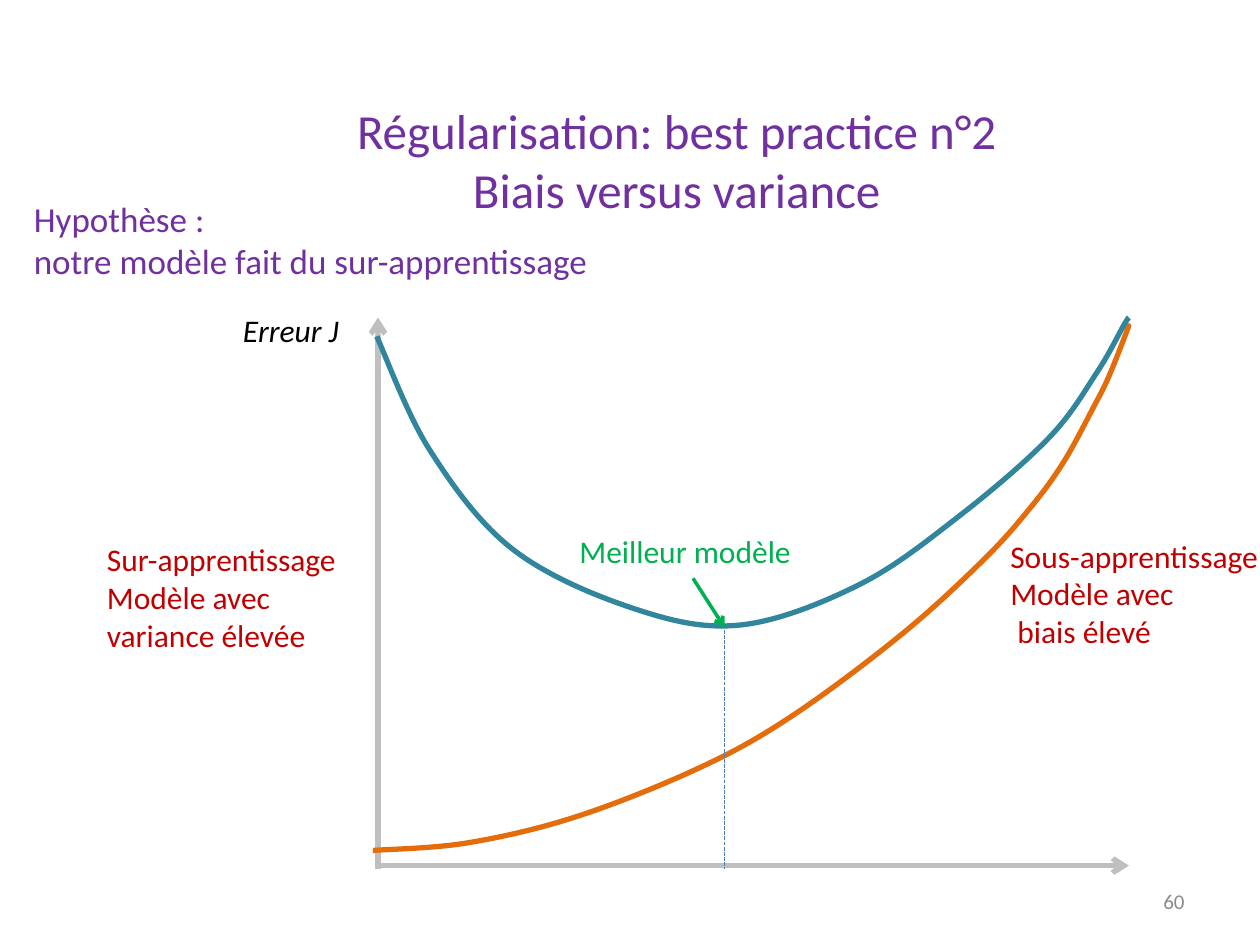
from lxml import etree
from pptx import Presentation, util as u
from pptx.dml.color import RGBColor
from pptx.enum import dml, shapes, text
from pptx.oxml.ns import qn

COLORS = {
    "purple": "7030A0", "red": "C00000", "green": "00B050", "black": "000000",
    "axis": "BFBFBF", "orange": "E46C0A", "teal": "31859C", "blue": "4B7EBC",
    "grey": "8B8B8B",
}
COLS, ROWS = 100, 75
AXIS_X, AXIS_Y, BEST_X = 30, 68.7, 57.5
BIAS = [(29.6, 67.5), (37.1, 66.9), (45.8, 64.8), (55.6, 60.9), (62.9, 56.8),
        (71.5, 50.4), (78, 44.5), (81.7, 40.4), (84.4, 36.7), (86.8, 32.3),
        (88, 29.9), (89.5, 26.1), (89.4, 26.1)]
TOTAL = [(29.9, 26.7), (34.1, 35.7), (40.7, 43.6), (50.3, 48.3), (58.8, 49.6),
         (68.2, 46.4), (76.2, 40.9), (83.3, 34.7), (87.1, 29.5), (89.2, 25.8),
         (89.6, 25.2)]


def rgb(name):
    return RGBColor.from_string(COLORS[name])


def write(tf, lines, size=18, color="black", italic=False, align="LEFT"):
    for i, line in enumerate(lines.split("\n")):
        p = tf.add_paragraph() if i else tf.paragraphs[0]
        p.alignment = getattr(text.PP_ALIGN, align)
        r = p.add_run()
        r.text = line
        r.font.name, r.font.size = "Calibri", u.Pt(size)
        r.font.italic, r.font.color.rgb = italic, rgb(color)


class Deck:
    """Draws text, lines and smooth curves on a grid of columns and rows."""

    def __init__(self, width, height):
        self.prs = Presentation()
        self.prs.slide_width, self.prs.slide_height = u.Inches(width), u.Inches(height)
        self.slide = self.prs.slides.add_slide(self.prs.slide_layouts[6])

    def at(self, col, row):
        return (round(col * self.prs.slide_width / COLS),
                round(row * self.prs.slide_height / ROWS))

    def text(self, col, row, cols, rows, lines, anchor="TOP", **style):
        s = self.slide.shapes.add_textbox(*self.at(col, row), *self.at(cols, rows))
        tf = s.text_frame
        tf.word_wrap = True
        tf.vertical_anchor = getattr(text.MSO_ANCHOR, anchor)
        write(tf, lines, **style)

    def line(self, start, end, color, width, arrow=False, dash=None):
        s = self.slide.shapes.add_connector(
            shapes.MSO_CONNECTOR.STRAIGHT, *self.at(*start), *self.at(*end))
        s.line.color.rgb, s.line.width = rgb(color), u.Pt(width)
        if dash:
            s.line.dash_style = dash
        if arrow:
            etree.SubElement(s.line._get_or_add_ln(), qn("a:tailEnd"), type="arrow")
        etree.SubElement(s._element.spPr, qn("a:effectLst"))

    def curve(self, knots, color, width=3):
        pts = [self.at(*k) for k in knots]
        builder = self.slide.shapes.build_freeform(*pts[0])
        builder.add_line_segments(pts[1:], close=False)
        s = builder.convert_to_shape()
        s.shadow.inherit = False
        s.fill.background()
        s.line.color.rgb, s.line.width = rgb(color), u.Pt(width)
        self.smooth(s)

    def smooth(self, s):
        path = next(s._element.iter(qn("a:path")))
        pts = [(int(e.get("x")), int(e.get("y"))) for e in path.iter(qn("a:pt"))]
        padded = [pts[0], *pts, pts[-1]]
        segments = zip(path.findall(qn("a:lnTo")), padded, pts, pts[1:], padded[3:])
        for segment, before, start, end, after in segments:
            leave = [a + (c - b) / 6 for a, b, c in zip(start, before, end)]
            arrive = [a - (c - b) / 6 for a, b, c in zip(end, start, after)]
            bezier = etree.Element(qn("a:cubicBezTo"))
            for x, y in (leave, arrive, end):
                etree.SubElement(bezier, qn("a:pt"), x=str(round(x)), y=str(round(y)))
            path.replace(segment, bezier)


def main():
    deck = Deck(10, 7.5)
    deck.text(71.7, 69.5, 23.3, 4, "60", anchor="MIDDLE", size=12, color="grey",
              align="RIGHT")
    deck.text(23.3, 7.5, 60.8, 10.4,
              "Régularisation: best practice n°2\nBiais versus variance",
              size=28, color="purple", align="CENTER")
    deck.line((AXIS_X, AXIS_Y), (89.6, AXIS_Y), "axis", 3, arrow=True)
    deck.line((AXIS_X, 69), (AXIS_X, 25.2), "axis", 3, arrow=True)
    deck.text(7.5, 42.4, 22.5, 10.1,
              "Sur-apprentissage\nModèle avec variance élevée", color="red")
    deck.text(79.2, 42.1, 26.7, 10.1,
              "Sous-apprentissage\nModèle avec\n biais élevé", color="red")
    deck.curve(BIAS, "orange")
    deck.curve(TOTAL, "teal")
    deck.line((55, 45.9), (BEST_X, 49.8), "green", 2, arrow=True)
    deck.text(45, 41.7, 20.8, 4, "Meilleur modèle", color="green")
    deck.line((BEST_X, 50), (BEST_X, 69), "blue", 0.75,
              dash=dml.MSO_LINE.SQUARE_DOT)
    deck.text(18.3, 24.2, 15.8, 4, "Erreur J", italic=True)
    deck.text(1.7, 15.2, 94.2, 7.7,
              "Hypothèse :\nnotre modèle fait du sur-apprentissage",
              size=20, color="purple")
    deck.prs.save("out.pptx")


if __name__ == "__main__":
    main()
